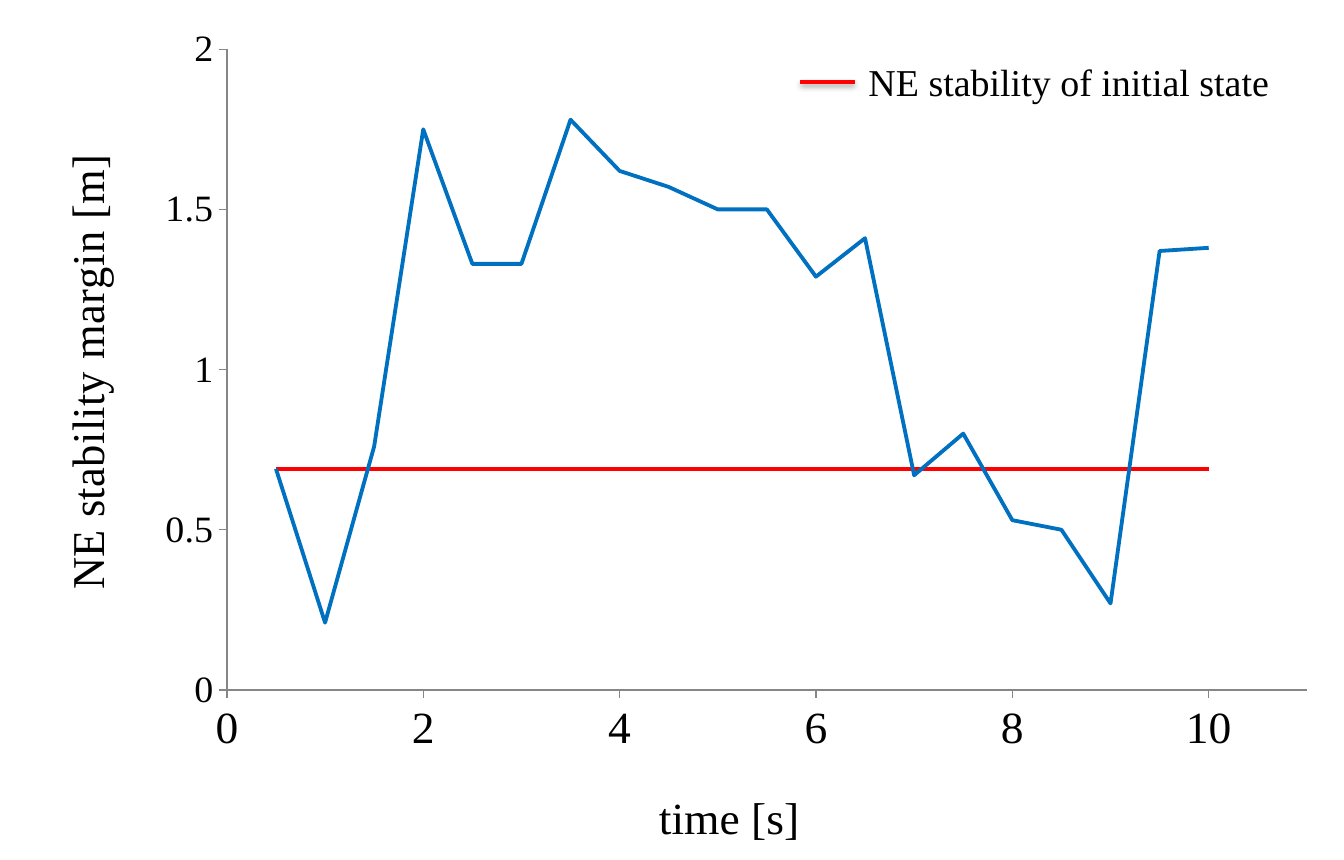
"""Build a slide with a line chart of NE stability margin over time."""
from lxml import etree
from pptx import Presentation
from pptx.chart.data import XyChartData
from pptx.dml.color import RGBColor
from pptx.enum.chart import XL_CHART_TYPE, XL_TICK_MARK
from pptx.enum.shapes import MSO_CONNECTOR
from pptx.enum.text import MSO_AUTO_SIZE
from pptx.oxml.ns import qn
from pptx.util import Pt

SCATTER_LINES = XL_CHART_TYPE.XY_SCATTER_LINES_NO_MARKERS
STRAIGHT = MSO_CONNECTOR.STRAIGHT
TICK_OUTSIDE, TICK_NONE = XL_TICK_MARK.OUTSIDE, XL_TICK_MARK.NONE
FIT_SHAPE = MSO_AUTO_SIZE.SHAPE_TO_FIT_TEXT

BLACK = RGBColor(0x00, 0x00, 0x00)
GREY = RGBColor(0x86, 0x86, 0x86)
BLUE = RGBColor(0x00, 0x70, 0xC0)
RED = RGBColor(0xFF, 0x00, 0x00)
SERIF = "Times New Roman"

MARGINS = [0.69, 0.21, 0.76, 1.75, 1.33, 1.33, 1.78, 1.62, 1.57, 1.5,
           1.5, 1.29, 1.41, 0.67, 0.8, 0.53, 0.5, 0.27, 1.37, 1.38]
TIME_STEP = 0.5
SERIES = [
    ("Series 1", MARGINS, BLUE),
    ("Series 2", MARGINS[:1] * len(MARGINS), RED),
]
TIME_AXIS = {
    "title": "time [s]", "title_place": {"x": 0.49, "y": 0.93},
    "size": 24, "rotation": 0,
    "scale": {"minimum_scale": 0, "maximum_scale": 11, "major_unit": 2},
}
MARGIN_AXIS = {
    "title": "NE stability margin [m]", "title_place": {"x": 0.05, "y": 0.17},
    "size": 20, "rotation": -5400000,
    "scale": {"minimum_scale": 0, "maximum_scale": 2, "major_unit": 0.5},
}
TITLE_SIZE = 24
PLOT_PLACE = {"x": 0.18, "y": 0.04, "w": 0.79, "h": 0.78}
LEGEND_TEXT = "NE stability of initial state"

PX = 9144
SLIDE_SIZE = (984, 630)
CHART_BOX = (-14, 12, 1001, 616)
LEGEND_BOX = (626, 38, 315, 44)
LEGEND_LINE = (586, 60, 626, 60)


def emu(lengths):
    return [length * PX for length in lengths]


def set_all(target, values):
    for name, value in values.items():
        setattr(target, name, value)


def format_font(font, size):
    set_all(font, {"name": SERIF, "size": Pt(size), "bold": False})
    font.color.rgb = BLACK


def format_line(line, color, width):
    line.color.rgb = color
    line.width = Pt(width)


def place(element, modes, fractions):
    for layout in element.findall(qn("c:layout")):
        element.remove(layout)
    layout = etree.Element(qn("c:layout"))
    element.insert(len(element.findall(qn("c:tx"))), layout)
    manual = etree.SubElement(layout, qn("c:manualLayout"))
    for name, value in {**modes, **fractions}.items():
        etree.SubElement(manual, qn(f"c:{name}")).set("val", str(value))


def format_axis(axis, content):
    set_all(axis, {"has_major_gridlines": False, "has_minor_gridlines": False,
                   "major_tick_mark": TICK_OUTSIDE, "minor_tick_mark": TICK_NONE,
                   **content["scale"]})
    set_all(axis.tick_labels, {"number_format": "General",
                               "number_format_is_linked": False})
    format_font(axis.tick_labels.font, content["size"])
    format_line(axis.format.line, GREY, 0.75)

    title = axis.axis_title
    para = title.text_frame.paragraphs[0]
    span = para.add_run()
    span.text = content["title"]
    format_font(para.font, TITLE_SIZE)
    format_font(span.font, TITLE_SIZE)
    element = title._element
    body = element.find(".//" + qn("a:bodyPr"))
    body.set("rot", str(content["rotation"]))
    body.set("vert", "horz")
    place(element, {"xMode": "edge", "yMode": "edge"}, content["title_place"])


def add_margin_chart(page):
    data = XyChartData()
    for name, values, _ in SERIES:
        series = data.add_series(name)
        for index, value in enumerate(values, start=1):
            series.add_data_point(index * TIME_STEP, value)
    chart = page.shapes.add_chart(SCATTER_LINES, *emu(CHART_BOX), data).chart
    set_all(chart, {"has_legend": False, "has_title": False})
    set_all(chart.font, {"name": "Calibri", "size": Pt(12)})
    chart.plots[0].vary_by_categories = False
    for series, (_, _, color) in zip(chart.plots[0].series, SERIES):
        series.smooth = False
        format_line(series.format.line, color, 2)
    format_axis(chart.category_axis, TIME_AXIS)
    format_axis(chart.value_axis, MARGIN_AXIS)
    plot_area = chart._chartSpace.find(".//" + qn("c:plotArea"))
    place(plot_area, {"layoutTarget": "inner", "xMode": "edge", "yMode": "edge"},
          PLOT_PLACE)


def add_shadow(connector):
    effects = etree.SubElement(connector._element.spPr, qn("a:effectLst"))
    shadow = etree.SubElement(effects, qn("a:outerShdw"), blurRad="40000",
                              dist="20000", dir="5400000", rotWithShape="0")
    color = etree.SubElement(shadow, qn("a:srgbClr"), val=str(BLACK))
    etree.SubElement(color, qn("a:alpha"), val="38000")


def add_legend(page):
    legend = page.shapes.add_group_shape()
    box = legend.shapes.add_textbox(*emu(LEGEND_BOX))
    set_all(box.text_frame, {"word_wrap": False, "auto_size": FIT_SHAPE})
    span = box.text_frame.paragraphs[0].add_run()
    span.text = LEGEND_TEXT
    format_font(span.font, 20)
    key = legend.shapes.add_connector(STRAIGHT, *emu(LEGEND_LINE))
    format_line(key.line, RED, 2)
    add_shadow(key)


def main():
    deck = Presentation()
    deck.slide_width, deck.slide_height = emu(SLIDE_SIZE)
    page = deck.slides.add_slide(deck.slide_layouts[6])
    add_margin_chart(page)
    add_legend(page)
    deck.save("out.pptx")


if __name__ == "__main__":
    main()
